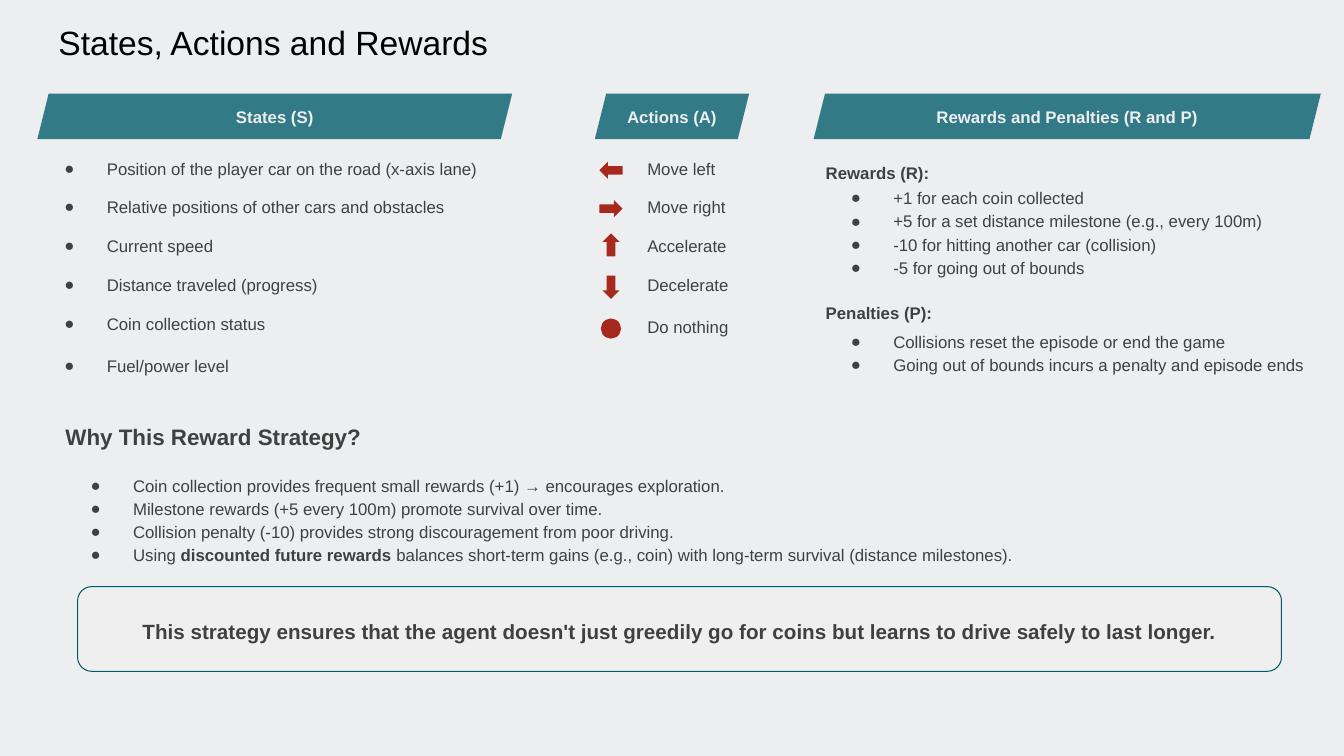
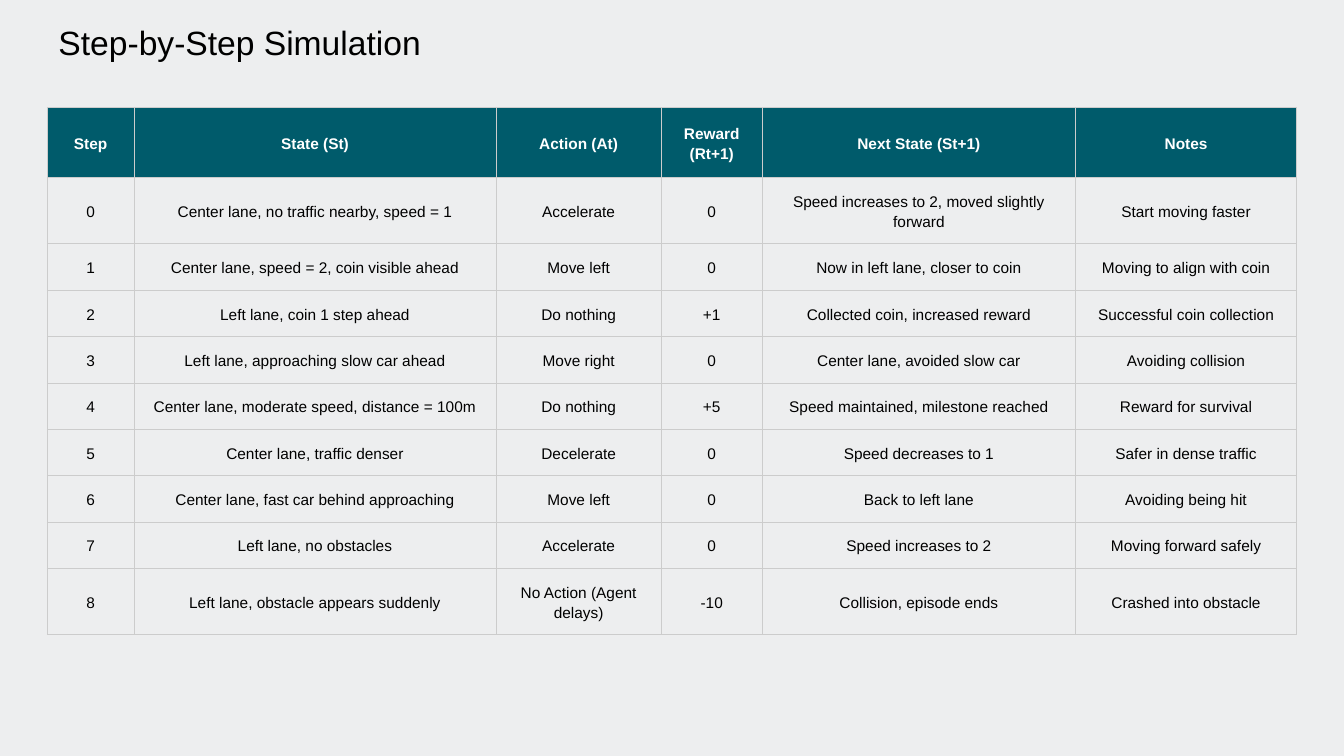
from lxml.etree import SubElement
from pptx import Presentation
from pptx.dml.color import RGBColor
from pptx.enum.shapes import MSO_SHAPE
from pptx.enum.text import MSO_ANCHOR, MSO_AUTO_SIZE, PP_ALIGN
from pptx.oxml import parse_xml
from pptx.oxml.ns import nsdecls, qn
from pptx.util import Inches, Pt

COLORS = {
    "background": "EDEEEF",
    "teal": "005B6B",
    "ink": "404041",
    "title": "000000",
    "white": "FFFFFF",
    "red": "A7291E",
    "callout": "EFEFEF",
    "grid": "CCCCCC",
}
FONT = "Arial"
INSET = 0.13
TITLE_BOX = (0.45, 0.09, 12.42, 0.84)
BULLET_INDENT = 0.67
BULLET_HANG = -0.42
LOOSE = 1.15

STATES = [
    "Position of the player car on the road (x-axis lane)",
    "Relative positions of other cars and obstacles",
    "Current speed",
    "Distance traveled (progress)",
    "Coin collection status",
    "Fuel/power level",
]
ACTIONS = [
    ("Move left", MSO_SHAPE.LEFT_ARROW, 0.23, 0.17, 0.76),
    ("Move right", MSO_SHAPE.RIGHT_ARROW, 0.23, 0.17, 1.14),
    ("Accelerate", MSO_SHAPE.UP_ARROW, 0.17, 0.23, 1.5),
    ("Decelerate", MSO_SHAPE.DOWN_ARROW, 0.17, 0.23, 1.92),
    ("Do nothing", MSO_SHAPE.OVAL, 0.2, 0.2, 2.33),
]
REWARDS = [
    "+1 for each coin collected",
    "+5 for a set distance milestone (e.g., every 100m)",
    "-10 for hitting another car (collision)",
    "-5 for going out of bounds",
]
PENALTIES = [
    "Collisions reset the episode or end the game",
    "Going out of bounds incurs a penalty and episode ends",
]
REASONS = [
    "Coin collection provides frequent small rewards (+1) → encourages exploration.",
    "Milestone rewards (+5 every 100m) promote survival over time.",
    "Collision penalty (-10) provides strong discouragement from poor driving.",
    [
        ("Using ", False),
        ("discounted future rewards", True),
        (" balances short-term gains (e.g., coin) with long-term survival (distance milestones).", False),
    ],
]
CALLOUT = ("This strategy ensures that the agent doesn't just greedily go for coins "
           "but learns to drive safely to last longer.")

COLUMN_WIDTHS = [0.86, 3.59, 1.64, 1, 3.11, 2.19]
ROW_HEIGHTS = [0.69, 0.66] + [0.46] * 7 + [0.66]
STEPS = [
    ("Step", "State (St)", "Action (At)", "Reward (Rt+1)", "Next State (St+1)", "Notes"),
    ("0", "Center lane, no traffic nearby, speed = 1", "Accelerate", "0",
     "Speed increases to 2, moved slightly forward", "Start moving faster"),
    ("1", "Center lane, speed = 2, coin visible ahead", "Move left", "0",
     "Now in left lane, closer to coin", "Moving to align with coin"),
    ("2", "Left lane, coin 1 step ahead", "Do nothing", "+1",
     "Collected coin, increased reward", "Successful coin collection"),
    ("3", "Left lane, approaching slow car ahead", "Move right", "0",
     "Center lane, avoided slow car", "Avoiding collision"),
    ("4", "Center lane, moderate speed, distance = 100m", "Do nothing", "+5",
     "Speed maintained, milestone reached", "Reward for survival"),
    ("5", "Center lane, traffic denser", "Decelerate", "0",
     "Speed decreases to 1", "Safer in dense traffic"),
    ("6", "Center lane, fast car behind approaching", "Move left", "0",
     "Back to left lane", "Avoiding being hit"),
    ("7", "Left lane, no obstacles", "Accelerate", "0",
     "Speed increases to 2", "Moving forward safely"),
    ("8", "Left lane, obstacle appears suddenly", "No Action (Agent delays)", "-10",
     "Collision, episode ends", "Crashed into obstacle"),
]


def rgb(name):
    return RGBColor.from_string(COLORS[name])


def inches(box):
    return [Inches(length) for length in box]


def set_attributes(target, values):
    for name, value in values.items():
        setattr(target, name, value)


def set_indent(paragraph, bullet):
    properties = paragraph._p.get_or_add_pPr()
    properties.set("marL", str(Inches(BULLET_INDENT)))
    properties.set("indent", str(Inches(BULLET_HANG) if bullet else 0))
    if bullet:
        color = SubElement(properties, qn("a:buClr"))
        SubElement(color, qn("a:srgbClr"), val=COLORS["ink"])
        SubElement(properties, qn("a:buFont"), typeface=FONT)
        SubElement(properties, qn("a:buChar"), char="●")


def entry(content, size=12, bold=False, color="ink", indent=False, bullet=False, **layout):
    runs = [(content, bold)] if isinstance(content, str) else content
    return {"runs": runs, "size": size, "color": color,
            "indent": indent or bullet, "bullet": bullet, "layout": layout}


def bullets(contents, first_gap, gap=0, **values):
    return [entry(content, bullet=True, space_before=Pt(gap if index else first_gap), **values)
            for index, content in enumerate(contents)]


def write_text(text_frame, entries):
    for index, item in enumerate(entries):
        paragraph = text_frame.add_paragraph() if index else text_frame.paragraphs[0]
        if item["indent"]:
            set_indent(paragraph, item["bullet"])
        set_attributes(paragraph, item["layout"])
        for text, bold in item["runs"]:
            run = paragraph.add_run()
            run.text = text
            set_attributes(run.font, {"name": FONT, "size": Pt(item["size"]), "bold": bold})
            run.font.color.rgb = rgb(item["color"])


def format_frame(text_frame, anchor=MSO_ANCHOR.TOP):
    values = {"word_wrap": True, "auto_size": MSO_AUTO_SIZE.NONE, "vertical_anchor": anchor}
    values.update({f"margin_{side}": Inches(INSET) for side in ("left", "top", "right", "bottom")})
    set_attributes(text_frame, values)


def add_text(slide, box, entries):
    text_frame = slide.shapes.add_textbox(*inches(box)).text_frame
    format_frame(text_frame)
    write_text(text_frame, entries)


def add_filled_shape(slide, kind, box, fill):
    shape = slide.shapes.add_shape(kind, *inches(box))
    shape.shadow.inherit = False
    shape.fill.solid()
    shape.fill.fore_color.rgb = rgb(fill)
    shape.line.fill.background()
    return shape


def add_titled_slide(presentation, text):
    slide = presentation.slides.add_slide(presentation.slide_layouts[5])
    title = slide.shapes.title
    set_attributes(title, dict(zip(("left", "top", "width", "height"), inches(TITLE_BOX))))
    format_frame(title.text_frame)
    write_text(title.text_frame, [entry(text, size=24, color="title", alignment=PP_ALIGN.LEFT)])
    return slide


def add_header(slide, box, text):
    header = add_filled_shape(slide, MSO_SHAPE.PARALLELOGRAM, box, "teal")
    color = header.fill._xPr.find(qn("a:solidFill")).find(qn("a:srgbClr"))
    SubElement(color, qn("a:alpha"), val="79000")
    header.text_frame.vertical_anchor = MSO_ANCHOR.MIDDLE
    write_text(header.text_frame,
               [entry(text, bold=True, color="background", alignment=PP_ALIGN.CENTER)])


def add_states(slide, box):
    left, top, width, height = box
    add_header(slide, box, "States (S)")
    entries = bullets(STATES, 0, 13.3)
    entries[-1]["layout"]["space_before"] = Pt(16)
    add_text(slide, (left - 0.11, top + 0.51, width + 0.43, 2.84), entries)


def add_actions(slide, box):
    left, top, width, height = box
    add_header(slide, box, "Actions (A)")
    last = len(ACTIONS) - 1
    gaps = [0] + [13.3] * (last - 1) + [16]
    add_text(slide, (left - 0.28, top + 0.51, width + 0.34, 2.46),
             [entry(action[0], indent=True, space_before=Pt(gap))
              for action, gap in zip(ACTIONS, gaps)])
    for label, kind, icon_width, icon_height, middle in ACTIONS:
        add_filled_shape(slide, kind, (left + 0.16 - icon_width / 2, top + middle - icon_height / 2,
                                       icon_width, icon_height), "red")


def add_rewards(slide, box):
    left, top, width, height = box
    add_header(slide, box, "Rewards and Penalties (R and P)")
    rewards = bullets(REWARDS, 4, line_spacing=LOOSE)
    rewards[0]["layout"]["line_spacing"] = 1.0
    add_text(slide, (left - 0.01, top + 0.52, width + 0.02, 2.43), [
        entry("Rewards (R):", bold=True, line_spacing=LOOSE),
        *rewards,
        entry("Penalties (P):", bold=True, line_spacing=LOOSE, space_before=Pt(16)),
        *bullets(PENALTIES, 4, line_spacing=LOOSE),
    ])


def add_reasons(slide, box):
    add_text(slide, box, [
        entry("Why This Reward Strategy?", size=16, bold=True, line_spacing=LOOSE),
        *bullets(REASONS, 16, line_spacing=LOOSE),
    ])


def add_callout(slide, box):
    callout = add_filled_shape(slide, MSO_SHAPE.ROUNDED_RECTANGLE, box, "callout")
    callout.line.color.rgb = rgb("teal")
    callout.line.width = Pt(0.75)
    format_frame(callout.text_frame, MSO_ANCHOR.MIDDLE)
    write_text(callout.text_frame, [entry(CALLOUT, size=14.7, bold=True, line_spacing=LOOSE,
                                          alignment=PP_ALIGN.CENTER)])


def set_borders(cell):
    properties = cell._tc.get_or_add_tcPr()
    for index, side in enumerate("LRTB"):
        properties.insert(index, parse_xml(
            f'<a:ln{side} {nsdecls("a")} w="{Pt(0.75)}"><a:solidFill>'
            f'<a:srgbClr val="{COLORS["grid"]}"/></a:solidFill></a:ln{side}>'))


def format_cell(cell, text, is_header):
    set_attributes(cell, {f"margin_{side}": Inches(INSET)
                          for side in ("left", "top", "right", "bottom")})
    cell.vertical_anchor = MSO_ANCHOR.MIDDLE
    if is_header:
        cell.fill.solid()
        cell.fill.fore_color.rgb = rgb("teal")
    else:
        cell.fill.background()
    set_borders(cell)
    write_text(cell.text_frame, [entry(text, size=11, bold=is_header,
                                       color="white" if is_header else "title",
                                       line_spacing=LOOSE, alignment=PP_ALIGN.CENTER)])


def add_steps_table(slide, left, top):
    box = (left, top, sum(COLUMN_WIDTHS), sum(ROW_HEIGHTS))
    table = slide.shapes.add_table(len(STEPS), len(COLUMN_WIDTHS), *inches(box)).table
    set_attributes(table, {"first_row": False, "horz_banding": False})
    for column, width in zip(table.columns, COLUMN_WIDTHS):
        column.width = Inches(width)
    for row_index, (row, height, texts) in enumerate(zip(table.rows, ROW_HEIGHTS, STEPS)):
        row.height = Inches(height)
        for cell, text in zip(row.cells, texts):
            format_cell(cell, text, row_index == 0)


def main():
    presentation = Presentation()
    set_attributes(presentation, {"slide_width": Inches(13.33), "slide_height": Inches(7.5)})
    background = presentation.slide_master.background.fill
    background.solid()
    background.fore_color.rgb = rgb("background")

    strategy = add_titled_slide(presentation, "States, Actions and Rewards")
    add_states(strategy, (0.37, 0.93, 4.71, 0.45))
    add_actions(strategy, (5.9, 0.93, 1.53, 0.45))
    add_rewards(strategy, (8.07, 0.93, 5.03, 0.45))
    add_reasons(strategy, (0.52, 4.03, 9.94, 2))
    add_callout(strategy, (0.77, 5.82, 11.94, 0.84))

    simulation = add_titled_slide(presentation, "Step-by-Step Simulation")
    add_steps_table(simulation, 0.47, 1.07)
    presentation.save("out.pptx")


if __name__ == "__main__":
    main()
